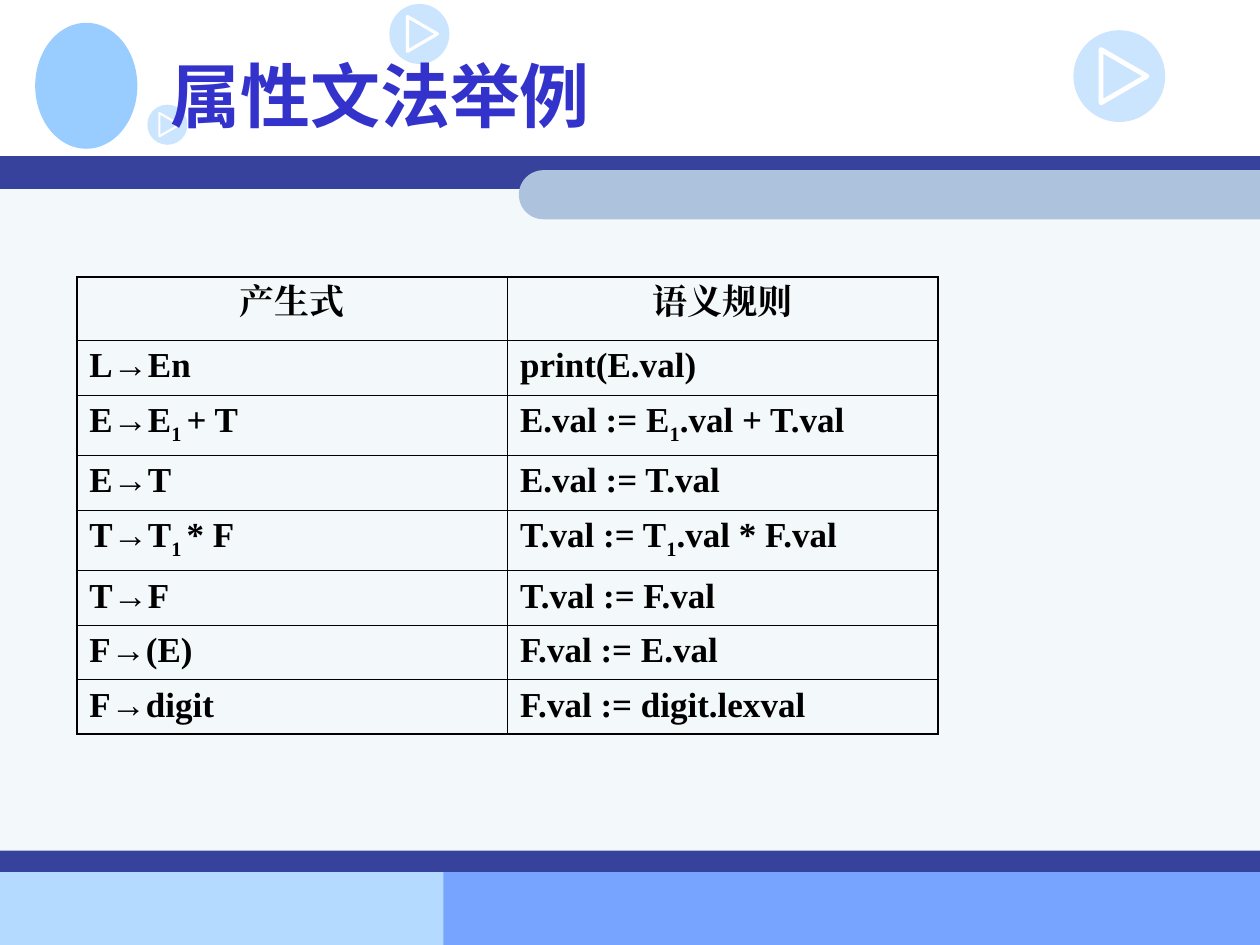
from lxml import etree
from pptx import Presentation, util as u
from pptx.dml.color import RGBColor
from pptx.enum import shapes, text
from pptx.oxml.ns import qn

RULES = [
    ("产生式", "语义规则"),
    ("L→En", "print(E.val)"),
    ("E→E_1 _+ T", "E.val := E_1_.val + T.val"),
    ("E→T", "E.val := T.val"),
    ("T→T_1 _* F", "T.val := T_1_.val * F.val"),
    ("T→F", "T.val := F.val"),
    ("F→(E)", "F.val := E.val"),
    ("F→digit", "F.val := digit.lexval"),
]


def rgb(code):
    return RGBColor.from_string(code)


def box(*sizes):
    return [u.Cm(size) for size in sizes]


def write(frame, words, size=20, font="Times New Roman", color="000000",
          align=text.PP_ALIGN.LEFT):
    """Fill a text frame; every second part between underscores is a subscript."""
    para = frame.paragraphs[0]
    para.alignment = align
    for i, part in enumerate(words.split("_")):
        run = para.add_run()
        run.text = part
        run.font.size = u.Pt(size)
        run.font.bold = True
        run.font.name = font
        run.font.color.rgb = rgb(color)
        props = run._r.get_or_add_rPr()
        etree.SubElement(props, qn("a:ea"), typeface=font)
        if i % 2:
            props.set("baseline", "-25000")


def edge(cell, side, width):
    line = etree.SubElement(cell._tc.get_or_add_tcPr(), qn("a:ln" + side),
                            w=str(u.Pt(width)))
    fill = etree.SubElement(line, qn("a:solidFill"))
    etree.SubElement(fill, qn("a:srgbClr"), val="000000")


class Deck:
    navy, sky, ink = "36429B", "99CCFF", "3333CC"
    thick, thin = 1.08, 0.45

    def __init__(self):
        self.file = Presentation()
        self.file.slide_width, self.file.slide_height = box(25.4, 19.05)
        self.slide = self.file.slides.add_slide(self.file.slide_layouts[5])

    def shape(self, place, color, kind=shapes.MSO_SHAPE.RECTANGLE, alpha=100):
        item = self.slide.shapes.add_shape(kind, *box(*place))
        item.shadow.inherit = False
        item.fill.solid()
        item.fill.fore_color.rgb = rgb(color)
        item.line.fill.background()
        if alpha < 100:
            tint = item._element.spPr.find(".//" + qn("a:srgbClr"))
            etree.SubElement(tint, qn("a:alpha"), val=str(alpha * 1000))
        return item

    def pill(self, left, top, width, height):
        """Bar with a round left end: a top-rounded bar turned on its side."""
        shift = (width - height) / 2
        item = self.shape((left + shift, top - shift, height, width), "ADC3DD",
                          shapes.MSO_SHAPE.ROUND_2_SAME_RECTANGLE)
        item.adjustments[0] = 0.5
        item.rotation = 270

    def play(self, left, top, size):
        self.shape((left, top, size, size), self.sky, shapes.MSO_SHAPE.OVAL, 50)
        spots = [box(left + x * size, top + y * size)
                 for x, y in [(0.3, 0.21), (0.8, 0.5), (0.3, 0.79)]]
        path = self.slide.shapes.build_freeform(*spots[0])
        path.add_line_segments(spots[1:], close=True)
        item = path.convert_to_shape()
        item.shadow.inherit = False
        item.fill.background()
        item.line.color.rgb = rgb("FFFFFF")
        item.line.width = u.Pt(round(1.5 * size, 2))

    def title(self, words, *place):
        item = self.slide.shapes.title
        item.left, item.top, item.width, item.height = box(*place)
        item.text_frame.vertical_anchor = text.MSO_ANCHOR.MIDDLE
        write(item.text_frame, words, size=40, font="Noto Sans CJK SC",
              color=self.ink)
        self.slide.shapes._spTree.append(item._element)  # bring to front

    def table(self, rows, left, top, width):
        high = [1.27 if not i else 1.22 if "_" in row[0] else 1.1
                for i, row in enumerate(rows)]
        last, end = len(rows) - 1, len(rows[0]) - 1
        grid = self.slide.shapes.add_table(
            last + 1, end + 1, *box(left, top, width, sum(high))).table
        grid.first_row = grid.horz_banding = False
        for i, row in enumerate(rows):
            grid.rows[i].height = u.Cm(high[i])
            for j, words in enumerate(row):
                cell = grid.cell(i, j)
                outer = {"L": j == 0, "R": j == end, "T": i == 0, "B": i == last}
                for side, out in outer.items():
                    edge(cell, side, self.thick if out else self.thin)
                cell.fill.background()
                write(cell.text_frame, words, align=text.PP_ALIGN.LEFT if i
                      else text.PP_ALIGN.CENTER)


def main():
    deck = Deck()
    deck.shape((0, 17.58, 10.8, 1.47), "B5DAFF")
    deck.shape((8.94, 17.55, 16.46, 1.5), "77A4FF")
    deck.shape((0, 3.56, 25.4, 14), "F3F8FB")
    deck.shape((0, 3.15, 25.4, 0.66), deck.navy)
    deck.pill(10.46, 3.43, 14.94, 0.99)
    deck.shape((0.71, 0.46, 2.06, 2.54), deck.sky, shapes.MSO_SHAPE.OVAL)
    for place in [(7.85, 0.08, 1.21), (21.64, 0.61, 1.85), (2.97, 2.11, 0.81)]:
        deck.play(*place)
    deck.shape((0, 17.15, 25.4, 0.43), deck.navy)
    deck.title("属性文法举例", 3.18, 0.43, 21.59, 2.97)
    deck.table(RULES, 1.55, 5.59, 17.36)
    deck.file.save("out.pptx")


if __name__ == "__main__":
    main()
